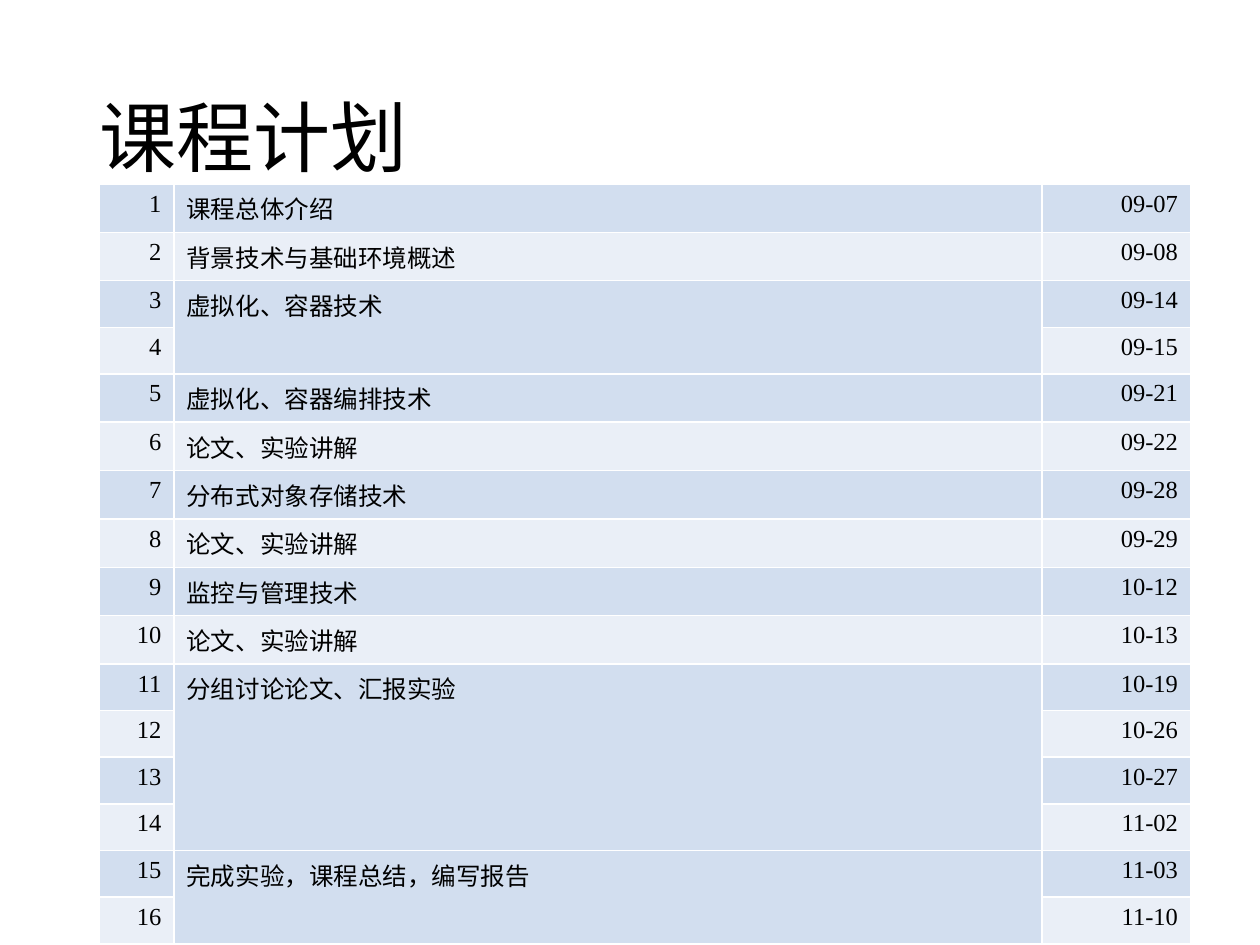
from lxml import etree
from pptx import Presentation
from pptx.dml.color import RGBColor
from pptx.enum import text
from pptx.oxml import ns
from pptx.util import Inches, Pt

COLORS = {"ink": "000000", "odd": "D2DEEF", "even": "EAEFF7", "border": "FFFFFF"}

# Each topic with the dates of its sessions
TOPICS = [
    ("课程总体介绍", ["09-07"]),
    ("背景技术与基础环境概述", ["09-08"]),
    ("虚拟化、容器技术", ["09-14", "09-15"]),
    ("虚拟化、容器编排技术", ["09-21"]),
    ("论文、实验讲解", ["09-22"]),
    ("分布式对象存储技术", ["09-28"]),
    ("论文、实验讲解", ["09-29"]),
    ("监控与管理技术", ["10-12"]),
    ("论文、实验讲解", ["10-13"]),
    ("分组讨论论文、汇报实验", ["10-19", "10-26", "10-27", "11-02"]),
    ("完成实验，课程总结，编写报告", ["11-03", "11-10"]),
]


class SlideBuilder:
    def __init__(self, prs):
        self.font = "Times New Roman"
        self.s = prs.slides.add_slide(prs.slide_layouts[5])

    def put_text(self, tf, content, size, align, **paragraph_format):
        p = tf.paragraphs[0]
        r = p.add_run()
        r.text = content
        for name, value in {"alignment": align, **paragraph_format}.items():
            setattr(p, name, value)
        for name, value in {"name": self.font, "size": Pt(size)}.items():
            setattr(r.font, name, value)
        r.font.color.rgb = RGBColor.from_string(COLORS["ink"])

    def title(self, content, left, top, width, height):
        sp = self.s.shapes.title
        box = {"left": left, "top": top, "width": width, "height": height}
        for name, value in box.items():
            setattr(sp, name, Inches(value))
        tf = sp.text_frame
        frame = {"vertical_anchor": text.MSO_ANCHOR.MIDDLE,
                 "auto_size": text.MSO_AUTO_SIZE.NONE, "word_wrap": True}
        for name, value in frame.items():
            setattr(tf, name, value)
        self.put_text(tf, content, 44, text.PP_ALIGN.LEFT, line_spacing=0.9)

    def borders(self, cell):
        tcPr = cell._tc.get_or_add_tcPr()
        for side in ("lnL", "lnR", "lnT", "lnB"):
            ln = etree.SubElement(tcPr, ns.qn(f"a:{side}"), w=str(Pt(1)))
            fill = etree.SubElement(ln, ns.qn("a:solidFill"))
            etree.SubElement(fill, ns.qn("a:srgbClr"), val=COLORS["border"])

    def schedule(self, topics, left, top, widths, row_height):
        """Number the sessions, merging the topic cell over all its dates."""
        count = sum(len(dates) for _, dates in topics)
        table = self.s.shapes.add_table(
            count, len(widths), Inches(left), Inches(top),
            Inches(sum(widths)), Inches(row_height * count)).table
        table.first_row = False
        for column, width in zip(table.columns, widths):
            column.width = Inches(width)
        for i, row in enumerate(table.rows):
            row.height = Inches(row_height)
            for cell in row.cells:
                self.borders(cell)
                cell.fill.solid()
                cell.fill.fore_color.rgb = RGBColor.from_string(
                    COLORS["even" if i % 2 else "odd"])
        first = 0
        for topic, dates in topics:
            cell = table.cell(first, 1)
            if len(dates) > 1:
                cell.merge(table.cell(first + len(dates) - 1, 1))
            self.put_text(cell.text_frame, topic, 14, text.PP_ALIGN.LEFT)
            for i, date in enumerate(dates, first):
                for col, content in ((0, str(i + 1)), (2, date)):
                    self.put_text(table.cell(i, col).text_frame, content, 14,
                                  text.PP_ALIGN.RIGHT)
            first += len(dates)


def main():
    prs = Presentation()
    prs.slide_width, prs.slide_height = Inches(10), Inches(7.5)
    slide = SlideBuilder(prs)
    slide.title("课程计划", 0.69, 0.4, 8.62, 1.45)
    slide.schedule(TOPICS, 0.79, 1.46, (0.59, 6.89, 1.18), 0.37)
    prs.save("out.pptx")


if __name__ == "__main__":
    main()
